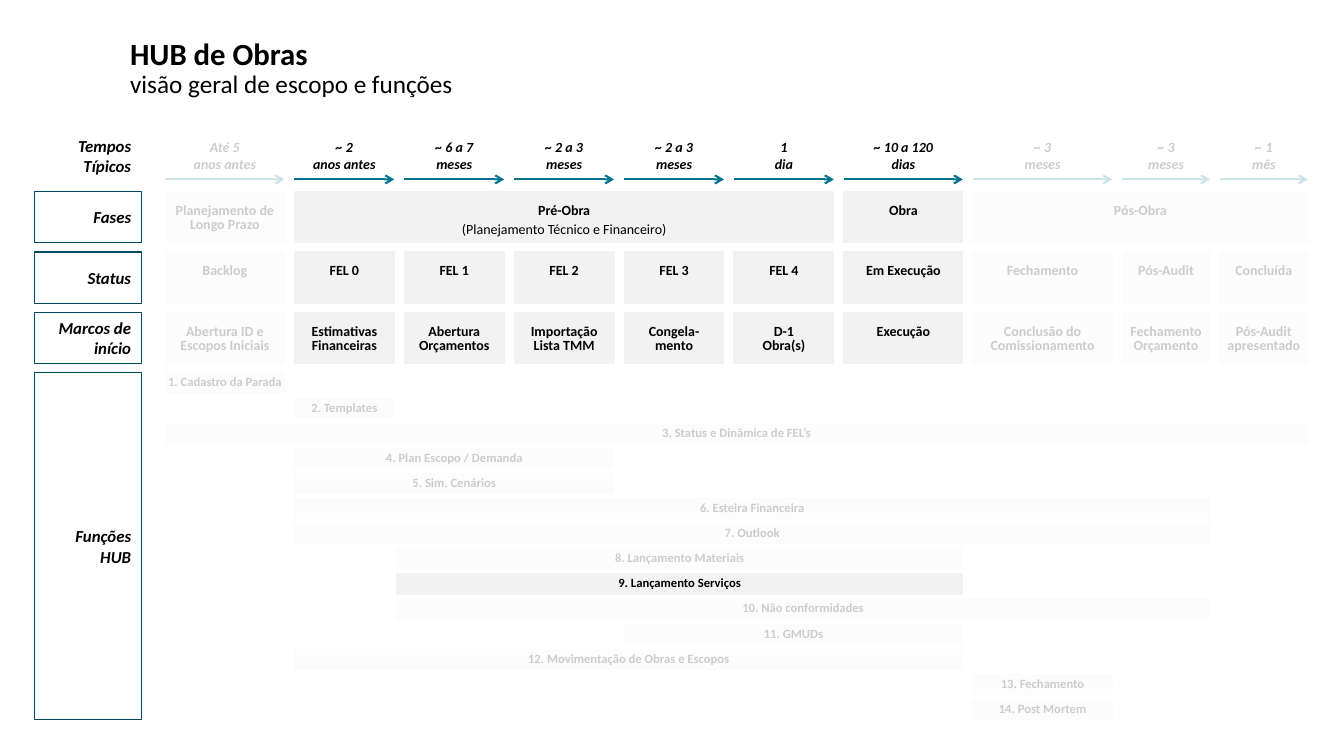
from dataclasses import dataclass

from lxml import etree
from pptx import Presentation
from pptx.dml.color import RGBColor
from pptx.enum import shapes, text
from pptx.oxml.ns import qn
from pptx.util import Inches, Pt


@dataclass(frozen=True)
class Theme:
    font: str = "Calibri"
    ink: str = "000000"
    panel: str = "F2F2F2"
    frame: str = "014A65"
    arrow: str = "03738E"
    veil: str = "FFFFFF"
    title: int = 22
    subtitle: int = 18
    label: int = 12
    body: int = 10
    bar: int = 9


THEME = Theme()
GAP = 0.1
GRID_LEFT = 1.64
ROW_TOP, ROW_PITCH, ROW_HEIGHT = 1.9, 0.6, 0.51
TIMES_TOP = 1.29
FUNCTIONS_HEIGHT, BAR_HEIGHT = 3.44, 0.2
LABEL_LEFT, LABEL_WIDTH = 0.34, 1.06
NARROW_INSET_FROM = 6  # stages from here on use slimmer side margins
LAUNCH_STAGE, LAUNCH_LEAD = 2, 0.08  # bars opening at this stage start slightly early

# width, typical time, status, milestone, active
STAGES = [
    (1.18, "Até 5\nanos antes", "Backlog", "Abertura ID e Escopos Iniciais", False),
    (0.99, "~ 2\nanos antes", "FEL 0", "Estimativas Financeiras", True),
    (0.99, "~ 6 a 7\nmeses", "FEL 1", "Abertura Orçamentos", True),
    (0.99, "~ 2 a 3\nmeses", "FEL 2", "Importação Lista TMM", True),
    (0.99, "~ 2 a 3\nmeses", "FEL 3", "Congela-mento", True),
    (0.99, "1\ndia", "FEL 4", "D-1\nObra(s)", True),
    (1.18, "~ 10 a 120\ndias", "Em Execução", "Execução", True),
    (1.38, "~ 3\nmeses", "Fechamento", "Conclusão do Comissionamento", False),
    (0.87, "~ 3\nmeses", "Pós-Audit", "Fechamento Orçamento", False),
    (0.87, "~ 1\nmês", "Concluída", "Pós-Audit apresentado", False),
]
# text, first stage, last stage, active
PHASES = [
    ("Planejamento de Longo Prazo", 0, 0, False),
    ("Pré-Obra\n(Planejamento Técnico e Financeiro)", 1, 5, True),
    ("Obra", 6, 6, True),
    ("Pós-Obra", 7, 9, False),
]
FUNCTIONS = [
    ("1. Cadastro da Parada", 0, 0, False),
    ("2. Templates", 1, 1, False),
    ("3. Status e Dinâmica de FEL’s", 0, 9, False),
    ("4. Plan Escopo / Demanda", 1, 3, False),
    ("5. Sim. Cenários", 1, 3, False),
    ("6. Esteira Financeira", 1, 8, False),
    ("7. Outlook", 1, 8, False),
    ("8. Lançamento Materiais", 2, 6, False),
    ("9. Lançamento Serviços", 2, 6, True),
    ("10. Não conformidades", 2, 8, False),
    ("11. GMUDs", 4, 6, False),
    ("12. Movimentação de Obras e Escopos", 1, 6, False),
    ("13. Fechamento", 7, 7, False),
    ("14. Post Mortem", 7, 7, False),
]
LABELS = ["Fases", "Status", "Marcos de início", "Funções HUB"]


def row_top(index):
    return ROW_TOP + index * ROW_PITCH


def span(first, last):
    """Left edge and width of the stages from first to last."""
    left = GRID_LEFT + sum(stage[0] + GAP for stage in STAGES[:first])
    width = sum(stage[0] + GAP for stage in STAGES[first:last + 1]) - GAP
    return left, width


def set_all(target, values):
    for name, value in values.items():
        setattr(target, name, value)


def write(frame, lines, formats, align, anchor, insets, spacing=1.0, space_before=0):
    """Fill a text frame with one paragraph per line; formats pairs with lines."""
    left, top, right, bottom = map(Inches, insets)
    set_all(frame, dict(word_wrap=True, auto_size=text.MSO_AUTO_SIZE.NONE, vertical_anchor=anchor,
                        margin_left=left, margin_top=top, margin_right=right, margin_bottom=bottom))
    for index, (line, values) in enumerate(zip(lines, formats)):
        paragraph = frame.add_paragraph() if index else frame.paragraphs[0]
        set_all(paragraph, dict(alignment=align, line_spacing=spacing,
                                space_before=Pt(space_before if index else 0)))
        run = paragraph.add_run()
        run.text = line
        set_all(run.font, dict(name=THEME.font, **values))
        run.font.color.rgb = RGBColor.from_string(THEME.ink)


def add_box(slide, box, fill=None, line=None):
    shape = slide.shapes.add_shape(shapes.MSO_SHAPE.RECTANGLE, *map(Inches, box))
    shape.shadow.inherit = False
    if fill:
        shape.fill.solid()
        shape.fill.fore_color.rgb = RGBColor.from_string(fill)
    else:
        shape.fill.background()
    if line:
        shape.line.color.rgb = RGBColor.from_string(line)
        shape.line.width = Pt(0.75)
    else:
        shape.line.fill.background()
    return shape


def add_title(slide, box):
    title = slide.shapes.title
    left, top, width, height = map(Inches, box)
    set_all(title, dict(left=left, top=top, width=width, height=height))
    write(title.text_frame, ["HUB de Obras", "visão geral de escopo e funções"],
          [dict(size=Pt(THEME.title), bold=True), dict(size=Pt(THEME.subtitle), bold=False)],
          text.PP_ALIGN.LEFT, text.MSO_ANCHOR.MIDDLE, (0.1, 0.05, 0.1, 0.05), 0.9)


def add_caption(shape, lines, size, align):
    """Bold italic text for row labels and typical times."""
    write(shape.text_frame, lines, [dict(size=Pt(size), bold=True, italic=True)] * len(lines),
          align, text.MSO_ANCHOR.MIDDLE, (0.1, 0.05, 0.1, 0.05))


def add_labels(slide, left, width):
    times = slide.shapes.add_textbox(*map(Inches, (left, TIMES_TOP, width, ROW_HEIGHT)))
    add_caption(times, ["Tempos Típicos"], THEME.label, text.PP_ALIGN.RIGHT)
    for index, label in enumerate(LABELS):
        height = FUNCTIONS_HEIGHT if label == LABELS[-1] else ROW_HEIGHT
        shape = add_box(slide, (left, row_top(index), width, height), line=THEME.frame)
        add_caption(shape, [label], THEME.label, text.PP_ALIGN.RIGHT)


def add_panel(slide, box, content, side=0.1, second_bold=True, space_before=0):
    shape = add_box(slide, box, THEME.panel, THEME.panel)
    formats = [dict(size=Pt(THEME.body), bold=bold) for bold in (True, second_bold)]
    write(shape.text_frame, content.split("\n"), formats, text.PP_ALIGN.CENTER,
          text.MSO_ANCHOR.TOP, (side, 0.12, side, 0.05), 0.85, space_before)


def add_time(slide, box, content):
    """Typical time with its arrow along the lower edge of the box."""
    left, top, width, height = box
    add_caption(slide.shapes.add_textbox(*map(Inches, box)), content.split("\n"),
                THEME.body, text.PP_ALIGN.CENTER)
    y = Inches(top + height - 0.02)
    arrow = slide.shapes.add_connector(shapes.MSO_CONNECTOR.STRAIGHT,
                                       Inches(left), y, Inches(left + width), y)
    arrow.line.color.rgb = RGBColor.from_string(THEME.arrow)
    arrow.line.width = Pt(1.5)
    etree.SubElement(arrow.line._get_or_add_ln(), qn("a:tailEnd"), type="arrow")
    etree.SubElement(arrow._element.spPr, qn("a:effectLst"))


def add_stages(slide, active):
    for index, (width, time, status, milestone, is_active) in enumerate(STAGES):
        if is_active != active:
            continue
        left, _ = span(index, index)
        side = 0.04 if index >= NARROW_INSET_FROM else 0.1
        add_time(slide, (left, TIMES_TOP, width, ROW_HEIGHT), time)
        for row, content in enumerate((status, milestone), start=1):
            add_panel(slide, (left, row_top(row), width, ROW_HEIGHT), content, side)


def add_phases(slide, active):
    for content, first, last, is_active in PHASES:
        if is_active == active:
            left, width = span(first, last)
            add_panel(slide, (left, row_top(0), width, ROW_HEIGHT), content,
                      second_bold=False, space_before=4)


def add_functions(slide, active):
    pitch = (FUNCTIONS_HEIGHT - BAR_HEIGHT) / (len(FUNCTIONS) - 1)
    for index, (content, first, last, is_active) in enumerate(FUNCTIONS):
        if is_active != active:
            continue
        left, width = span(first, last)
        lead = LAUNCH_LEAD if first == LAUNCH_STAGE else 0
        box = (left - lead, row_top(3) + index * pitch, width + lead, BAR_HEIGHT)
        shape = add_box(slide, box, THEME.panel, THEME.panel)
        write(shape.text_frame, [content], [dict(size=Pt(THEME.bar), bold=True)],
              text.PP_ALIGN.CENTER, text.MSO_ANCHOR.MIDDLE, (0, 0, 0, 0), 0.85)


def add_veil(slide, box):
    """Translucent cover that fades everything drawn before it."""
    veil = add_box(slide, box, THEME.veil)
    color = veil._element.spPr.find(qn("a:solidFill"))[0]
    etree.SubElement(color, qn("a:alpha"), val="80000")


def main():
    presentation = Presentation()
    set_all(presentation, dict(slide_width=Inches(13.33), slide_height=Inches(7.5)))
    slide = presentation.slides.add_slide(presentation.slide_layouts[5])
    add_title(slide, (1.19, 0.33, 11.47, 0.71))
    add_labels(slide, LABEL_LEFT, LABEL_WIDTH)
    for active in (False, True):
        if active:
            add_veil(slide, (1.45, 1.04, 11.67, 6.13))
        add_stages(slide, active)
        add_phases(slide, active)
        add_functions(slide, active)
    presentation.save("out.pptx")


if __name__ == "__main__":
    main()
